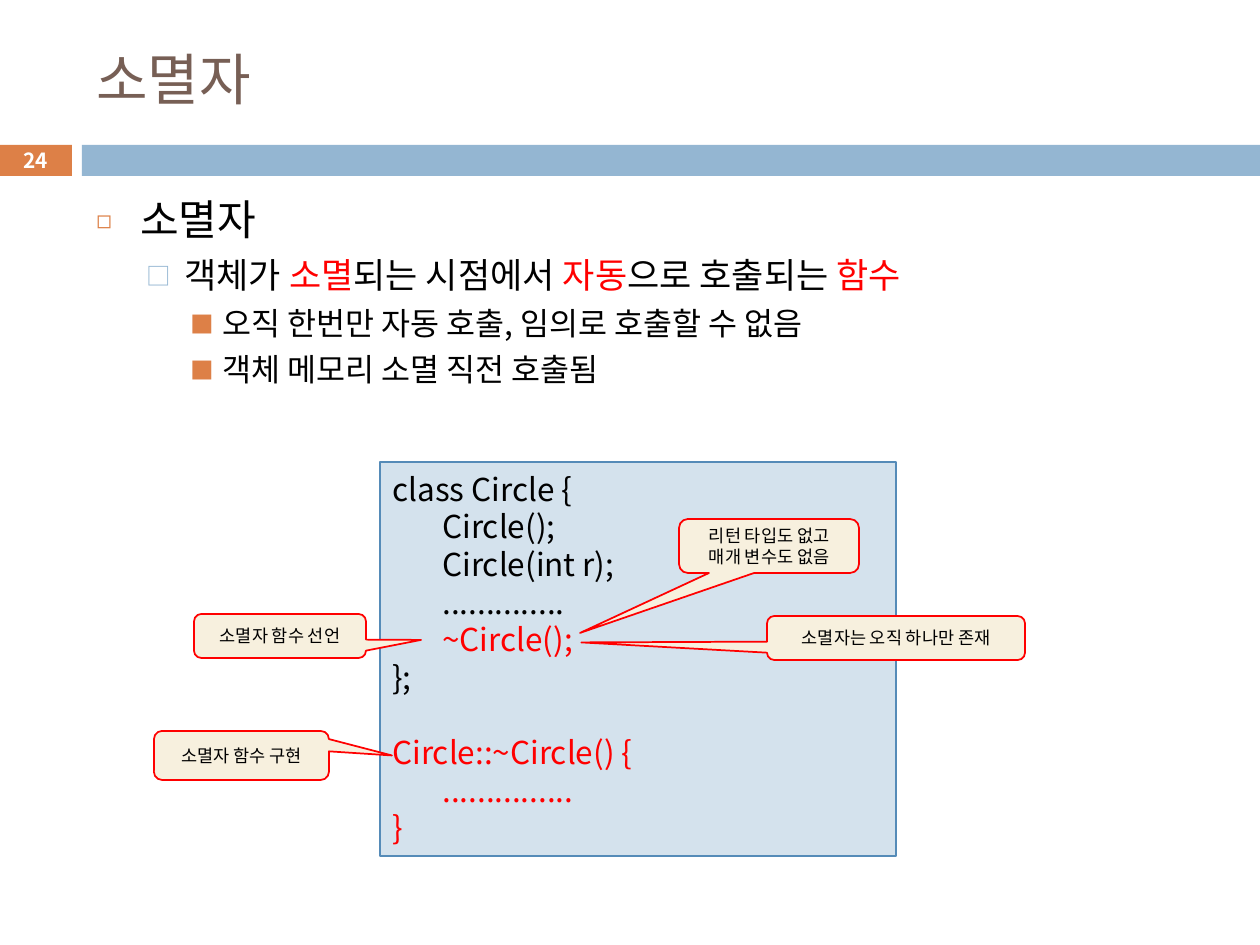
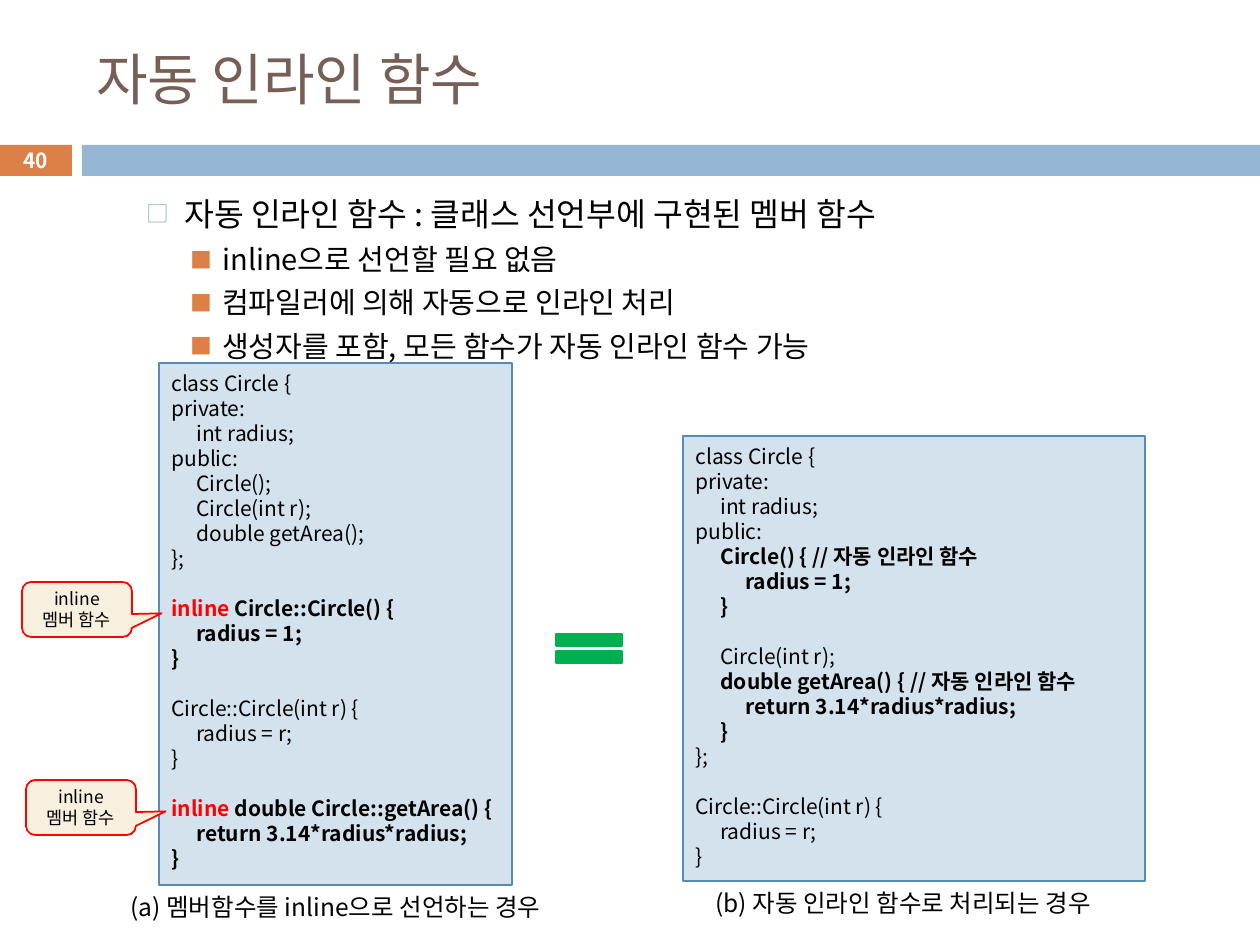
import pptx
import pptx.util
import pptx.dml.color
import pptx.enum.shapes
import pptx.enum.text
import lxml.etree

PX = 914400 / 126
FONT = "Noto Sans CJK KR"
BLACK, WHITE, RED, BROWN = "000000", "FFFFFF", "FF0000", "775F55"
ORANGE, BLUE, GREEN = "DD8047", "94B6D2", "00B050"
CODE_FILL, CODE_LINE, CALLOUT_FILL = "D4E2ED", "558BB8", "F7F0DE"
LINE_PITCH = 1.195
TAB = 25
NAMESPACE = "{http://schemas.openxmlformats.org/drawingml/2006/main}"
SHAPES = pptx.enum.shapes.MSO_SHAPE
ANCHOR = pptx.enum.text.MSO_ANCHOR
ALIGN = pptx.enum.text.PP_ALIGN
rgb = pptx.dml.color.RGBColor.from_string

# Level: left px, hanging px, space before pt, character, colour, size
BULLETS = [
    (44, 44, 7, "◻", ORANGE, 60000),
    (88, 38, 5.5, "□", BLUE, 70000),
    (126, 32, 5, "■", ORANGE, 75000),
]


def add_box(slide, kind, at, fill=None, line=None, width=1, anchor=ANCHOR.MIDDLE):
    """Add a preset shape, or a text box when kind is None; at is in px."""
    place = [round(value * PX) for value in at]
    if kind is None:
        shape = slide.shapes.add_textbox(*place)
    else:
        shape = slide.shapes.add_shape(kind, *place)
        shape.shadow.inherit = False
        shape.fill.solid()
        shape.fill.fore_color.rgb = rgb(fill)
        if line:
            shape.line.color.rgb = rgb(line)
            shape.line.width = pptx.util.Pt(width)
        else:
            shape.line.fill.background()
    shape.text_frame.word_wrap = True
    shape.text_frame.vertical_anchor = anchor
    return shape


def add_line(shape, first, runs, size, colour=BLACK, bold=False, align=ALIGN.LEFT, fixed=True):
    """Add one paragraph; runs is a string or a list of (text, colour, bold)."""
    frame = shape.text_frame
    paragraph = frame.paragraphs[0] if first else frame.add_paragraph()
    paragraph.alignment = align
    if fixed:
        paragraph.line_spacing = pptx.util.Pt(round(size * LINE_PITCH, 1))
    if isinstance(runs, str):
        runs = [(runs, colour, bold)] if runs else []
    for text, run_colour, run_bold in runs:
        run = paragraph.add_run()
        run.text = text
        run.font.size = pptx.util.Pt(size)
        run.font.name = FONT
        run.font.bold = run_bold
        run.font.color.rgb = rgb(run_colour)
        east_asian = lxml.etree.SubElement(run.font._element, NAMESPACE + "ea")
        east_asian.set("typeface", FONT)
    return paragraph


destructor = {
    "title": "소멸자",
    "number": "24",
    "body_height": 307,
    "body": [
        (0, 24, "소멸자"),
        (1, 20, [
            ("객체가 ", BLACK, False), ("소멸", RED, False),
            ("되는 시점에서 ", BLACK, False), ("자동", RED, False),
            ("으로 호출되는 ", BLACK, False), ("함수", RED, False),
        ]),
        (2, 18, "오직 한번만 자동 호출, 임의로 호출할 수 없음"),
        (2, 18, "객체 메모리 소멸 직전 호출됨"),
    ],
    "code": [
        ((380, 462, 516, 394), 18, [
            "class Circle {",
            "\t\tCircle();",
            "\t\tCircle(int r);",
            "\t\t..............",
            [("\t\t~Circle();", RED, False)],
            "};",
            "",
            [("Circle::~Circle() {", RED, False)],
            [("\t\t...............", RED, False)],
            [("}", RED, False)],
        ]),
    ],
    "captions": [],
    "callouts": [
        ((679, 519, 180, 54), (-1.05, 1.61), ["리턴 타입도 없고 매개 변수도 없음"]),
        ((194, 614, 172, 44), (0.82, 0.09), ["소멸자 함수 선언"]),
        ((767, 616, 258, 44), (-1.22, 0.1), ["소멸자는 오직 하나만 존재"]),
        ((154, 731, 175, 49), (0.86, 0), ["소멸자 함수 구현"]),
    ],
}

INLINE_CALLOUT = ["inline", "멤버 함수"]
inline_functions = {
    "title": "자동 인라인 함수",
    "number": "40",
    "body_height": 178,
    "body": [
        (1, 18.5, "자동 인라인 함수 : 클래스 선언부에 구현된 멤버 함수"),
        (2, 16.6, "inline으로 선언할 필요 없음"),
        (2, 16.6, "컴파일러에 의해 자동으로 인라인 처리"),
        (2, 16.6, "생성자를 포함, 모든 함수가 자동 인라인 함수 가능"),
    ],
    "code": [
        ((683, 436, 462, 445), 12, [
            "class Circle {",
            "private:",
            "\tint radius;",
            "public:",
            [("\tCircle() { // 자동 인라인 함수", BLACK, True)],
            [("\t\tradius = 1;", BLACK, True)],
            [("\t}", BLACK, True)],
            "",
            "\tCircle(int r);",
            [("\tdouble getArea() { // 자동 인라인 함수", BLACK, True)],
            [("\t\treturn 3.14*radius*radius;", BLACK, True)],
            [("\t}", BLACK, True)],
            "};",
            "",
            "Circle::Circle(int r) {",
            "\tradius = r;",
            "}",
        ]),
        ((159, 363, 353, 522), 12, [
            "class Circle {",
            "private:",
            "\tint radius;",
            "public:",
            "\tCircle();",
            "\tCircle(int r);",
            "\tdouble getArea();",
            "};",
            "",
            [("inline", RED, True), (" Circle::Circle() {", BLACK, True)],
            [("\tradius = 1;", BLACK, True)],
            [("}", BLACK, True)],
            "",
            "Circle::Circle(int r) {",
            "\tradius = r;",
            "}",
            "",
            [("inline", RED, True), (" double Circle::getArea() {", BLACK, True)],
            [("\treturn 3.14*radius*radius;", BLACK, True)],
            [("}", BLACK, True)],
        ]),
    ],
    "captions": [
        ((118, 885, 470, 43), "(a) 멤버함수를 inline으로 선언하는 경우"),
        ((703, 881, 445, 43), "(b) 자동 인라인 함수로 처리되는 경우"),
    ],
    "callouts": [
        ((26, 780, 110, 55), (0.77, 0.07), INLINE_CALLOUT),
        ((22, 582, 110, 55), (0.77, 0.07), INLINE_CALLOUT),
    ],
}

presentation = pptx.Presentation()
presentation.slide_width = pptx.util.Inches(10)
presentation.slide_height = pptx.util.Inches(7.5)

for content in (destructor, inline_functions):
    slide = presentation.slides.add_slide(presentation.slide_layouts[6])

    # Bands, title and slide number
    add_box(slide, SHAPES.RECTANGLE, (-1, 145, 73, 31), ORANGE)
    add_box(slide, SHAPES.RECTANGLE, (82, 145, 1178, 31), BLUE)
    title = add_box(slide, None, (84, 31, 1124, 94))
    add_line(title, True, content["title"], 32, BROWN, fixed=False)
    number = add_box(slide, None, (-1, 143, 73, 34))
    add_line(number, True, content["number"], 11.9, WHITE, True, ALIGN.CENTER, fixed=False)

    # Bulleted body
    body = add_box(slide, None, (84, 185, 1124, content["body_height"]), anchor=ANCHOR.TOP)
    body.text_frame.margin_top = round(9 * PX)
    for index, (level, size, runs) in enumerate(content["body"]):
        left, hanging, before, character, bullet_colour, bullet_size = BULLETS[level]
        paragraph = add_line(body, index == 0, runs, size)
        paragraph.level = level
        if index:
            paragraph.space_before = pptx.util.Pt(before)
        properties = paragraph._p.get_or_add_pPr()
        properties.set("marL", str(round(left * PX)))
        properties.set("indent", str(round(-hanging * PX)))
        colour_element = lxml.etree.SubElement(properties, NAMESPACE + "buClr")
        lxml.etree.SubElement(colour_element, NAMESPACE + "srgbClr").set("val", bullet_colour)
        lxml.etree.SubElement(properties, NAMESPACE + "buSzPct").set("val", str(bullet_size))
        lxml.etree.SubElement(properties, NAMESPACE + "buFont").set("typeface", FONT)
        lxml.etree.SubElement(properties, NAMESPACE + "buChar").set("char", character)

    # Code panels with evenly spaced tab stops
    for at, size, lines in content["code"]:
        panel = add_box(slide, SHAPES.RECTANGLE, at, CODE_FILL, CODE_LINE, 0.75, ANCHOR.TOP)
        panel.text_frame.margin_top = round(8 * PX)
        for index, runs in enumerate(lines):
            paragraph = add_line(panel, index == 0, runs, size)
            tabs = lxml.etree.SubElement(paragraph._p.get_or_add_pPr(), NAMESPACE + "tabLst")
            for step in (1, 2):
                stop = lxml.etree.SubElement(tabs, NAMESPACE + "tab")
                stop.set("pos", str(round(step * TAB * PX)))
                stop.set("algn", "l")

    # Captions below the code
    for at, text in content["captions"]:
        caption = add_box(slide, None, at)
        caption.text_frame.word_wrap = False
        add_line(caption, True, text, 14, fixed=False)

    # Equals sign between the two panels
    if len(content["code"]) == 2:
        add_box(slide, SHAPES.MATH_EQUAL, (544, 624, 90, 49), GREEN, GREEN, 1.5)

    # Callouts
    for at, pointer, lines in content["callouts"]:
        callout = add_box(slide, SHAPES.ROUNDED_RECTANGULAR_CALLOUT, at, CALLOUT_FILL, RED)
        callout.adjustments[0], callout.adjustments[1] = pointer
        for index, text in enumerate(lines):
            add_line(callout, index == 0, text, 10, align=ALIGN.CENTER)

presentation.save("out.pptx")
